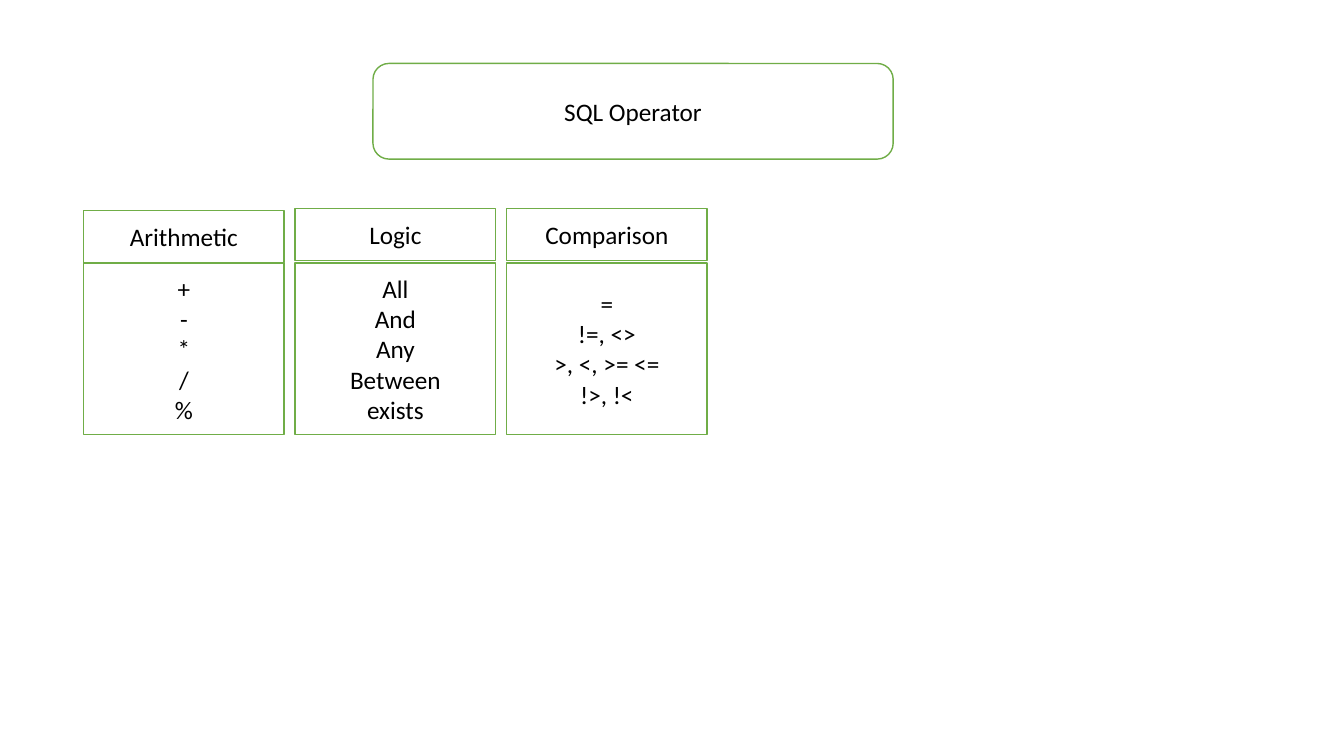
from dataclasses import dataclass

from pptx import Presentation
from pptx.dml.color import RGBColor
from pptx.enum.shapes import MSO_SHAPE
from pptx.enum.text import MSO_ANCHOR, PP_ALIGN
from pptx.slide import Slide
from pptx.util import Cm, Pt

LEFT, PITCH, WIDTH = 2.11, 5.33, 5.05
HEAD_HEIGHT, BODY_TOP, BODY_HEIGHT = 1.3, 6.63, 4.32


@dataclass
class OperatorGroup:
    """A family of SQL operators, shown as a heading above a list."""
    name: str
    operators: list[str]
    head_top: float = 5.26


GROUPS = [
    OperatorGroup("Arithmetic", ["+", "-", "*", "/", "%"], head_top=5.31),
    OperatorGroup("Logic", ["All", "And", "Any", "Between", "exists"]),
    OperatorGroup("Comparison", ["=", "!=, <>", ">, <, >= <=", "!>, !<"]),
]


def color(value: str) -> RGBColor:
    """Turn a hex string into a colour."""
    return RGBColor.from_string(value)


def add_box(s: Slide, kind: MSO_SHAPE, left: float, top: float,
            width: float, height: float, lines: list[str]) -> None:
    """Draw a green-edged white box with one centred paragraph per line."""
    sp = s.shapes.add_shape(kind, Cm(left), Cm(top), Cm(width), Cm(height))
    sp.shadow.inherit = False
    sp.fill.solid()
    sp.fill.fore_color.rgb = color("FFFFFF")
    sp.line.color.rgb = color("70AD47")
    sp.line.width = Pt(1)
    tf = sp.text_frame
    tf.word_wrap = True
    tf.vertical_anchor = MSO_ANCHOR.MIDDLE
    tf.text = "\n".join(lines)
    for p in tf.paragraphs:
        p.alignment = PP_ALIGN.CENTER
        p.font.name = "Calibri"
        p.font.size = Pt(18)
        p.font.color.rgb = color("000000")


def add_group(s: Slide, column: int, group: OperatorGroup) -> None:
    """Draw the heading and the operator list of one column."""
    left = LEFT + column * PITCH
    add_box(s, MSO_SHAPE.RECTANGLE, left, group.head_top, WIDTH, HEAD_HEIGHT,
            [group.name])
    add_box(s, MSO_SHAPE.RECTANGLE, left, BODY_TOP, WIDTH, BODY_HEIGHT,
            group.operators)


def main() -> None:
    """Build and save the slide."""
    prs = Presentation()
    prs.slide_width, prs.slide_height = Cm(33.87), Cm(19.05)
    s = prs.slides.add_slide(prs.slide_layouts[6])
    add_box(s, MSO_SHAPE.ROUNDED_RECTANGLE, 9.4, 1.6, 13.11, 2.41,
            ["SQL Operator"])
    for column, group in enumerate(GROUPS):
        add_group(s, column, group)
    prs.save("out.pptx")


main()
